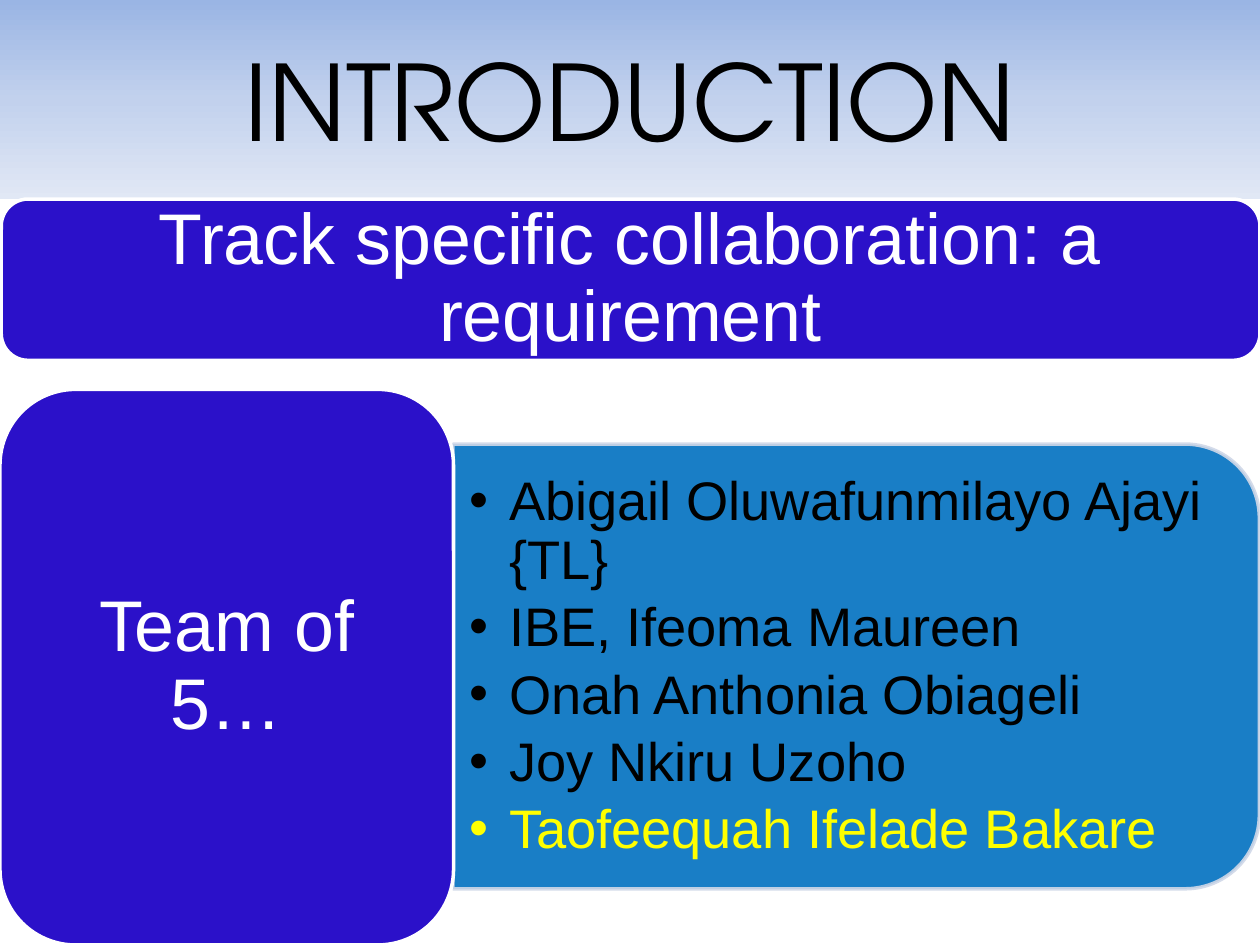
"""Build the introduction slide with the team list."""
from copy import deepcopy
from dataclasses import dataclass
from lxml import etree
from pptx import Presentation
from pptx.dml.color import RGBColor
from pptx.enum.shapes import MSO_SHAPE
from pptx.enum.text import MSO_ANCHOR, MSO_AUTO_SIZE, PP_ALIGN
from pptx.oxml.ns import qn
from pptx.util import Inches, Pt

ROUND = MSO_SHAPE.ROUNDED_RECTANGLE
TAB = MSO_SHAPE.ROUND_2_SAME_RECTANGLE
MIDDLE = MSO_ANCHOR.MIDDLE
CENTER = PP_ALIGN.CENTER
LEFT = PP_ALIGN.LEFT
FIXED = MSO_AUTO_SIZE.NONE


@dataclass
class Theme:
    sky: tuple = ("9AB5E4", "C2D1ED", "E1E8F5")
    blue: str = "2B11C9"
    panel: str = "0070C0"
    edge: str = "D0D8E8"
    white: str = "FFFFFF"
    black: str = "000000"
    yellow: str = "FFFF00"
    head: str = "TeX Gyre Adventor"
    font: str = "Arial"
    title: int = 60
    block: int = 41
    item: int = 31


theme = Theme()


def put_text(shape, text, font, size, color, align, inset, line=1, after=0):
    frame = shape.text_frame
    frame.text = text
    frame.word_wrap = True
    frame.auto_size = FIXED
    frame.vertical_anchor = MIDDLE
    frame.margin_left = frame.margin_right = Inches(inset)
    frame.margin_top = frame.margin_bottom = Inches(inset / 2)
    for para in frame.paragraphs:
        para.alignment = align
        para.line_spacing = line
        para.space_before = Pt(0)
        para.space_after = Pt(after)
        for run in para.runs:
            run.font.name = font
            run.font.size = Pt(size)
            run.font.color.rgb = RGBColor.from_string(color)


def add_block(kind, box, fill, edge):
    shape = slide.shapes.add_shape(kind, *map(Inches, box))
    shape.shadow.inherit = False
    shape.fill.solid()
    shape.fill.fore_color.rgb = RGBColor.from_string(fill)
    shape.line.color.rgb = RGBColor.from_string(edge)
    shape.line.width = Pt(2)
    return shape


deck = Presentation()
deck.slide_width, deck.slide_height = Inches(10), Inches(7.5)
slide = deck.slides.add_slide(deck.slide_layouts[1])
title, team = slide.placeholders
for holder, box in ((title, (0, 0, 10, 1.58)), (team, (3.6, 3.7, 6.23, 3.19))):
    holder.left, holder.top, holder.width, holder.height = map(Inches, box)

put_text(title, "INTRODUCTION", theme.head, theme.title, theme.black, CENTER, 0.1)
title.fill.gradient()
title.fill.gradient_angle = 270
stops = title.fill._fill._gradFill.find(qn("a:gsLst"))
stops.insert(1, deepcopy(stops[0]))
for stop, place, color in zip(title.fill.gradient_stops, (0, 0.5, 1), theme.sky):
    stop.position = place
    stop.color.rgb = RGBColor.from_string(color)

panel = add_block(TAB, (5.03, 2.09, 3.53, 6.4), theme.panel, theme.edge)
panel.rotation = 90
for color in panel._element.spPr.iter(qn("a:srgbClr")):
    etree.SubElement(color, qn("a:alpha"), val="90000")

blocks = (
    ("Track specific collaboration: a requirement", (0.01, 1.58, 9.99, 1.28)),
    ("Team of 5…", (0, 3.09, 3.6, 4.41)),
)
for text, box in blocks:
    block = add_block(ROUND, box, theme.blue, theme.white)
    put_text(block, text, theme.font, theme.block, theme.white, CENTER, 0.17, 0.9)

names = (
    "Abigail Oluwafunmilayo Ajayi {TL}",
    "IBE, Ifeoma Maureen",
    "Onah Anthonia Obiageli",
    "Joy Nkiru Uzoho",
    "Taofeequah Ifelade Bakare",
)
put_text(team, "\n".join(names), theme.font, theme.item, theme.black, LEFT, 0.13, 0.9, 5)
for para in team.text_frame.paragraphs:
    props = para._p.get_or_add_pPr()
    props.set("marL", str(Inches(0.31)))
    props.set("indent", str(Inches(-0.31)))
    etree.SubElement(props, qn("a:buChar"), char="•")
para.runs[0].font.color.rgb = RGBColor.from_string(theme.yellow)
slide.shapes._spTree.append(team._element)

deck.save("out.pptx")
